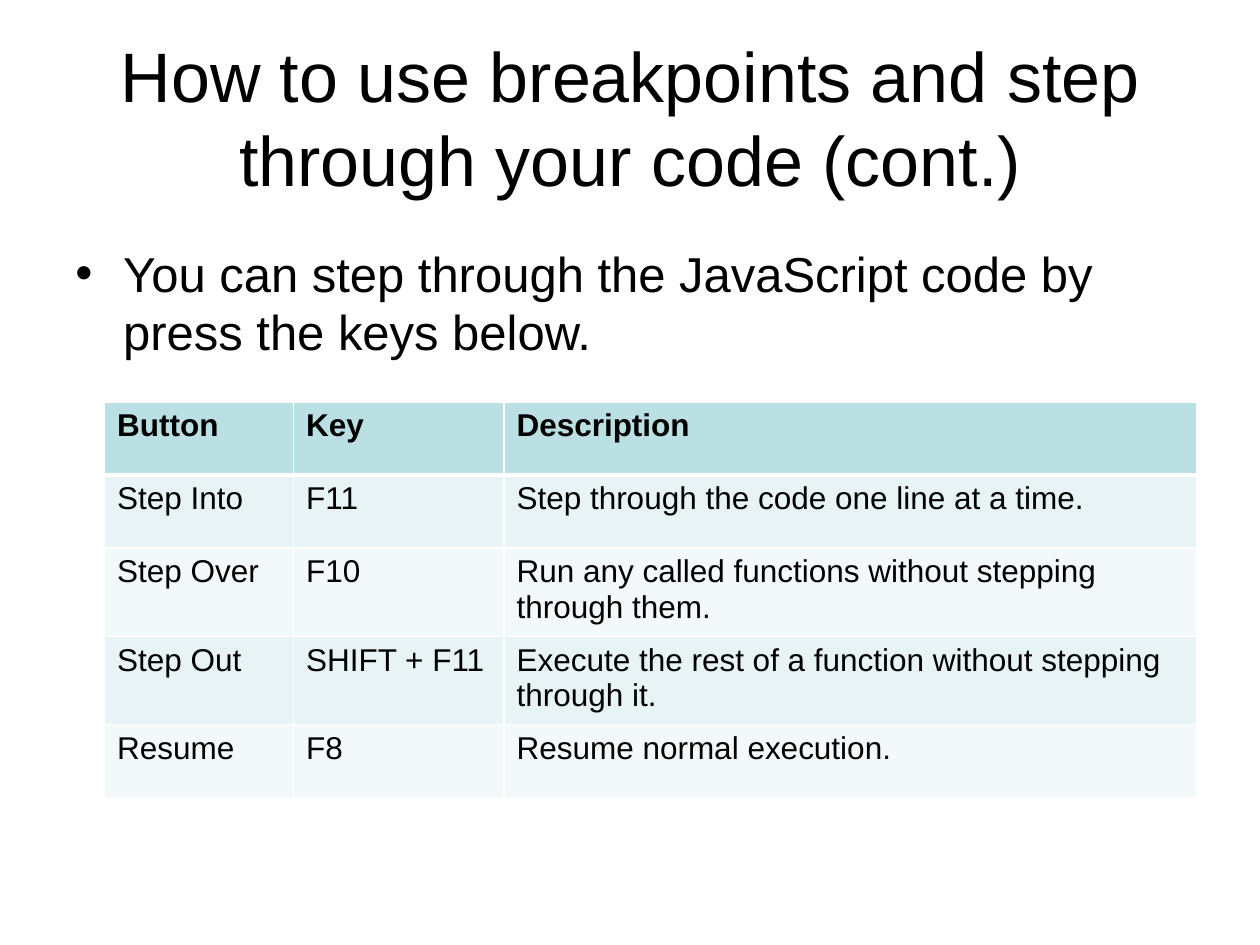
from lxml.etree import SubElement as Sub
from pptx import Presentation
from pptx.dml.color import RGBColor as Rgb
from pptx.enum.text import MSO_ANCHOR as Anchor, PP_ALIGN as Align
from pptx.oxml.ns import qn
from pptx.util import Inches, Pt

HUES = {"ink": "000000", "rule": "FFFFFF", "head": "BBE0E3",
        "odd": "E7F3F4", "even": "F3F9FA"}
ROWS = [
    ("Button", "Key", "Description"),
    ("Step Into", "F11", "Step through the code one line at a time."),
    ("Step Over", "F10", "Run any called functions without stepping through them."),
    ("Step Out", "SHIFT + F11",
     "Execute the rest of a function without stepping through it."),
    ("Resume", "F8", "Resume normal execution."),
]
COLS = (1.5, 1.67, 5.5)


def write(frame, text, size, bold=False):
    """Put one styled paragraph in a text frame and return it."""
    para = frame.paragraphs[0]
    run = para.add_run()
    run.text = text
    form = {"name": "Arial", "size": Pt(size), "bold": bold}
    for key, value in form.items():
        setattr(run.font, key, value)
    run.font.color.rgb = Rgb.from_string(HUES["ink"])
    return para


def add_text(slide, box, text, size, anchor):
    """Add a wrapped text box and return its paragraph."""
    frame = slide.shapes.add_textbox(*map(Inches, box)).text_frame
    frame.word_wrap = True
    frame.vertical_anchor = anchor
    return write(frame, text, size)


def add_title(slide, box, text):
    """Add the centred title."""
    add_text(slide, box, text, 40, Anchor.MIDDLE).alignment = Align.CENTER


def add_bullet(slide, box, text):
    """Add the bulleted body text."""
    para = add_text(slide, box, text, 28, Anchor.TOP)
    para.space_before = Pt(5.6)
    props = para._p.get_or_add_pPr()
    props.set("marL", str(Inches(0.38)))
    props.set("indent", str(Inches(-0.38)))
    Sub(props, qn("a:buFont"), typeface="Arial")
    Sub(props, qn("a:buChar"), char="•")


def rule_cell(cell, widths):
    """Draw the borders of a cell, then its fill stays last."""
    props = cell._tc.get_or_add_tcPr()
    for spot, (side, width) in enumerate(widths.items()):
        line = Sub(props, qn(f"a:ln{side}"), w=str(Pt(width)))
        fill = Sub(line, qn("a:solidFill"))
        Sub(fill, qn("a:srgbClr"), val=HUES["rule"])
        props.insert(spot, line)


def add_keys(slide, box, rows):
    """Add the table of debugger keys."""
    table = slide.shapes.add_table(len(rows), len(COLS), *map(Inches, box)).table
    for col, width in zip(table.columns, COLS):
        col.width = Inches(width)
    for r, row in enumerate(rows):
        table.rows[r].height = Inches(box[3] / len(rows))
        hue = "head" if r == 0 else "odd" if r % 2 else "even"
        widths = {"L": 1, "R": 1, "T": 3 if r == 1 else 1, "B": 1 if r else 3}
        for c, text in enumerate(row):
            cell = table.cell(r, c)
            write(cell.text_frame, text, 18, r == 0)
            cell.fill.solid()
            cell.fill.fore_color.rgb = Rgb.from_string(HUES[hue])
            rule_cell(cell, widths)


def main():
    """Build and save the slide."""
    deck = Presentation()
    deck.slide_width, deck.slide_height = Inches(10), Inches(7.5)
    slide = deck.slides.add_slide(deck.slide_layouts[6])
    add_title(slide, (0.5, 0.3, 9, 1.25),
              "How to use breakpoints and step through your code (cont.)")
    add_bullet(slide, (0.5, 1.88, 9.17, 4.95),
               "You can step through the JavaScript code by press the keys below.")
    add_keys(slide, (0.83, 3.19, 8.67, 2.9), ROWS)
    deck.save("out.pptx")


if __name__ == "__main__":
    main()
